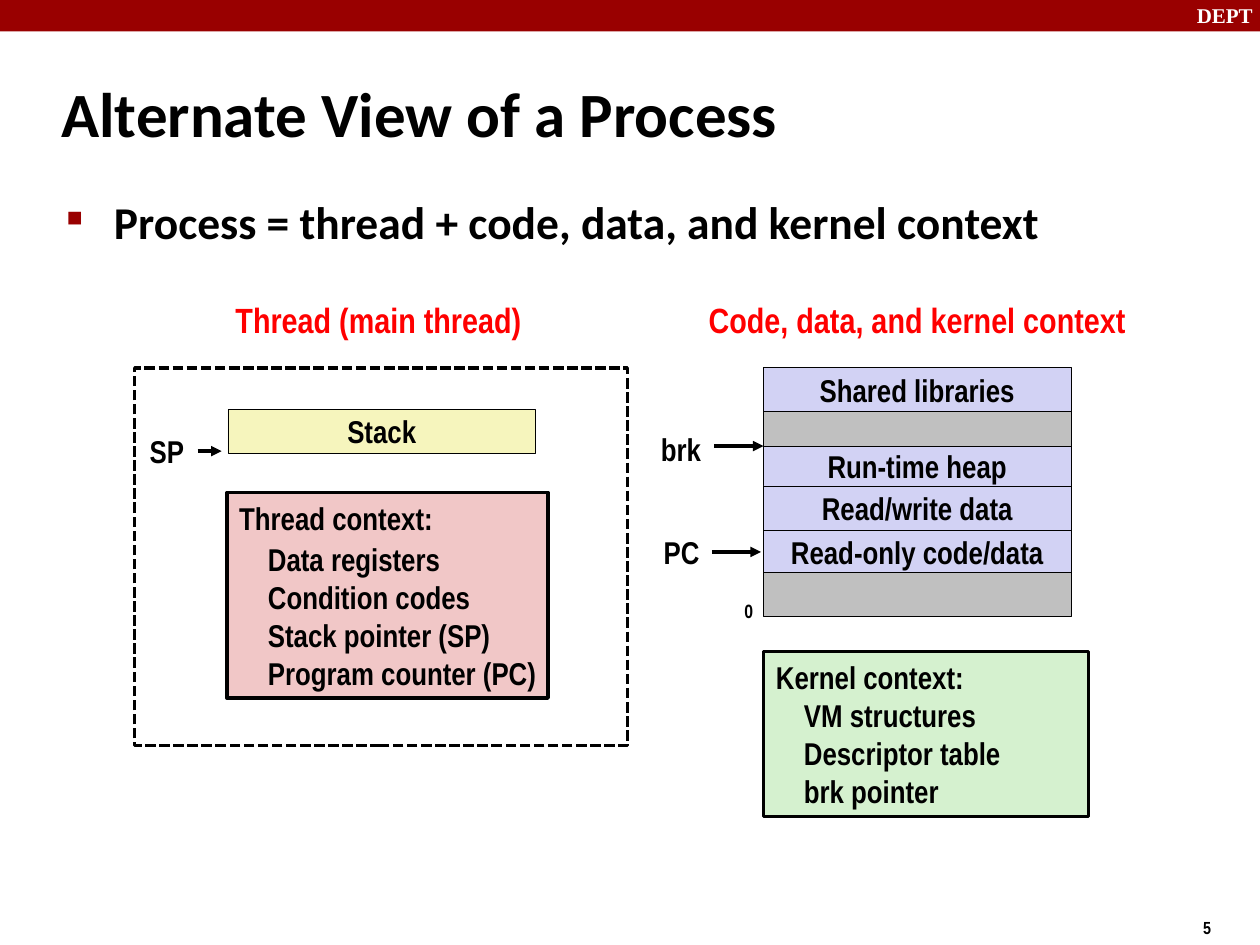
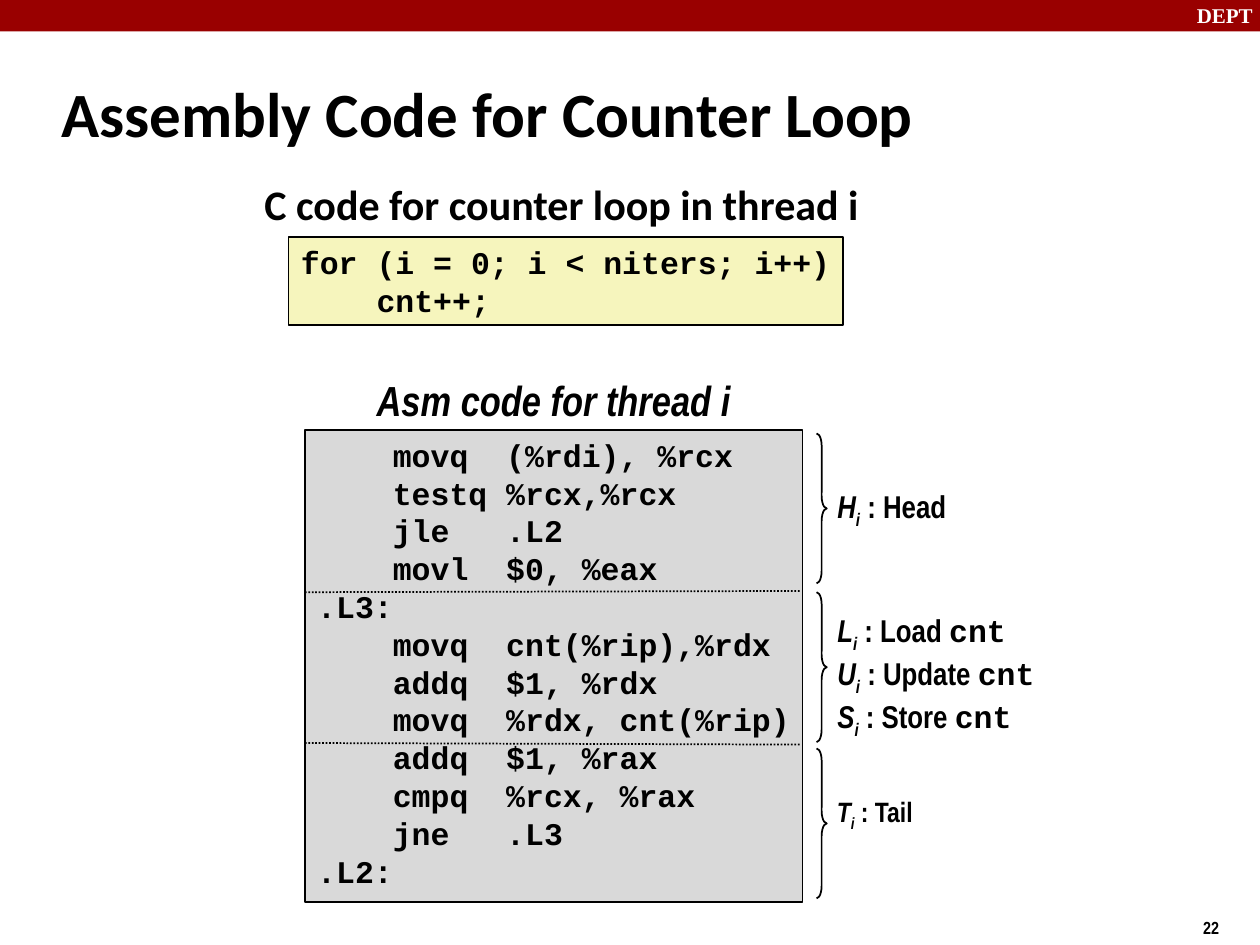
from lxml import etree
from pptx import Presentation
from pptx.dml.color import RGBColor
from pptx.enum.dml import MSO_LINE
from pptx.enum.shapes import MSO_CONNECTOR, MSO_SHAPE
from pptx.enum.text import MSO_ANCHOR, PP_ALIGN
from pptx.oxml.ns import qn
from pptx.util import Pt

RECT, BRACE = MSO_SHAPE.RECTANGLE, MSO_SHAPE.RIGHT_BRACE
STRAIGHT = MSO_CONNECTOR.STRAIGHT
DASH, DOT = MSO_LINE.SQUARE_DOT, MSO_LINE.ROUND_DOT
TOP, MIDDLE = MSO_ANCHOR.TOP, MSO_ANCHOR.MIDDLE
LEFT, CENTER = PP_ALIGN.LEFT, PP_ALIGN.CENTER

BLACK, WHITE, BRAND, RED = "000000", "FFFFFF", "990000", "FF0000"
LILAC, GRAY, PALE_GRAY = "D2D2F4", "C0C0C0", "D9D9D9"
YELLOW, PINK, GREEN = "F6F5BD", "F1C7C7", "D5F1CF"
NARROW, SANS, MONO, SERIF = "Arial Narrow", "Calibri", "Courier New", "Times New Roman"
CODE_TABS = (43.2, 108)


def color(hex_code):
    return RGBColor.from_string(hex_code)


def add_run(p, text, size=18, font=NARROW, fill=BLACK, italic=False, baseline=0):
    r = p.add_run()
    r.text = text
    r.font.size, r.font.name = Pt(size), font
    r.font.bold, r.font.italic = True, italic
    r.font.color.rgb = color(fill)
    if baseline:
        r._r.get_or_add_rPr().set("baseline", str(baseline * 1000))


def set_frame(sp, anchor=MIDDLE, wrap=False):
    tf = sp.text_frame
    tf.word_wrap, tf.vertical_anchor = wrap, anchor
    tf.margin_left = tf.margin_right = Pt(7.2)
    tf.margin_top = tf.margin_bottom = Pt(3.6)
    return tf


def next_paragraph(tf, index, align=LEFT):
    p = tf.add_paragraph() if index else tf.paragraphs[0]
    p.alignment = align
    return p


def add_text(s, box, text, anchor=MIDDLE, align=LEFT, wrap=False, **fmt):
    sp = s.shapes.add_textbox(*map(Pt, box))
    p = next_paragraph(set_frame(sp, anchor, wrap), 0, align)
    add_run(p, text, **fmt)
    return p


def add_box(s, box, fill=None, line=BLACK, width=0.25, shape=RECT, dash=None):
    sp = s.shapes.add_shape(shape, *map(Pt, box))
    sp.shadow.inherit = False
    if fill:
        sp.fill.solid()
        sp.fill.fore_color.rgb = color(fill)
    else:
        sp.fill.background()
    if line:
        sp.line.color.rgb = color(line)
        sp.line.width = Pt(width)
        if dash:
            sp.line.dash_style = dash
    else:
        sp.line.fill.background()
    return sp


def add_labelled_box(s, box, text, fill):
    sp = add_box(s, box, fill)
    if text:
        add_run(next_paragraph(set_frame(sp), 0, CENTER), text)


def add_context(s, box, heading, items, fill, indent, gap=0):
    tf = set_frame(add_box(s, box, fill, width=2))
    for i, text in enumerate([heading, *items]):
        p = next_paragraph(tf, i)
        if i:
            p._p.get_or_add_pPr().set("marL", str(Pt(indent)))
        if i == 1:
            p.space_before = Pt(gap)
        add_run(p, text)


def add_code(s, box, lines, fill, anchor=TOP):
    tf = set_frame(add_box(s, box, fill, width=1), anchor, wrap=True)
    tf.margin_right = 0
    for i, text in enumerate(lines):
        p = next_paragraph(tf, i)
        tabs = etree.SubElement(p._p.get_or_add_pPr(), qn("a:tabLst"))
        for stop in CODE_TABS:
            etree.SubElement(tabs, qn("a:tab"), pos=str(Pt(stop)), algn="l")
        add_run(p, text, font=MONO)


def add_line(s, x1, y1, x2, y2, width, dash=None, arrow=False):
    cx = s.shapes.add_connector(STRAIGHT, Pt(x1), Pt(y1), Pt(x2), Pt(y2))
    cx.line.color.rgb = color(BLACK)
    cx.line.width = Pt(width)
    if dash:
        cx.line.dash_style = dash
    if arrow:
        etree.SubElement(cx.line._get_or_add_ln(), qn("a:tailEnd"), type="triangle")
    etree.SubElement(cx._element.spPr, qn("a:effectLst"))


def add_pointer(s, label_box, text, x1, x2, y):
    add_text(s, label_box, text, align=CENTER)
    add_line(s, x1, y, x2, y, 2, arrow=True)


def add_bullet(s, box, text):
    p = add_text(s, box, text, anchor=TOP, wrap=True, size=26, font=SANS)
    p.space_before = Pt(5.2)
    pPr = p._p.get_or_add_pPr()
    pPr.set("marL", str(Pt(27)))
    pPr.set("indent", str(Pt(-27)))
    bullet_color = etree.SubElement(pPr, qn("a:buClr"))
    etree.SubElement(bullet_color, qn("a:srgbClr"), val=BRAND)
    etree.SubElement(pPr, qn("a:buSzPct"), val="48000")
    etree.SubElement(pPr, qn("a:buChar"), char="■")


def add_steps(s, box, steps, size=18):
    tf = set_frame(s.shapes.add_textbox(*map(Pt, box)))
    for i, (letter, action, variable) in enumerate(steps):
        p = next_paragraph(tf, i)
        add_run(p, letter, size, italic=True)
        add_run(p, "i", size, italic=True, baseline=-25)
        add_run(p, f" : {action}", size)
        if variable:
            add_run(p, variable, size, font=MONO)


def add_slide(prs, title, number):
    s = prs.slides.add_slide(prs.slide_layouts[6])
    add_box(s, (0, 0, 720, 18), BRAND, line=None)
    add_text(s, (676.8, -2.2, 48.2, 21.6), "DEPT", anchor=TOP,
             size=12, font=SERIF, fill=WHITE)
    add_text(s, (680.4, 520.6, 54, 20.9), str(number), anchor=TOP, size=10)
    add_text(s, (28, 34.2, 598, 60), title, wrap=True, size=36, font=SANS)
    return s


def build_process_view(prs):
    s = add_slide(prs, "Alternate View of a Process", 5)
    add_bullet(s, (31, 107.3, 621, 391.7),
               "Process = thread + code, data, and kernel context")

    for box, heading in (((117.4, 167, 197.8, 31), "Thread (main thread)"),
                         ((386, 167, 276.3, 31), "Code, data, and kernel context")):
        add_text(s, box, heading, align=CENTER, size=20, fill=RED)

    add_box(s, (77, 210.2, 281.5, 216), width=2, dash=DASH)
    add_labelled_box(s, (130.3, 233.8, 175.7, 25.2), "Stack", YELLOW)
    add_context(s, (129.6, 281.5, 183.6, 117.4), "Thread context:",
                ("Data registers", "Condition codes", "Stack pointer (SP)",
                 "Program counter (PC)"), PINK, 16.4, gap=2)

    memory = ((210, 25.2, "Shared libraries", LILAC),
              (235.2, 19.8, "", GRAY),
              (255, 22.7, "Run-time heap", LILAC),
              (277.7, 25.2, "Read/write data", LILAC),
              (303, 25.2, "Read-only code/data", LILAC),
              (327, 25.2, "", GRAY))
    for top, height, text, fill in memory:
        add_labelled_box(s, (436.3, top, 175.7, height), text, fill)
    add_text(s, (418.3, 339.1, 24, 20.2), "0", anchor=TOP, size=11)
    add_context(s, (436.3, 372.2, 185.8, 94.3), "Kernel context:",
                ("VM structures", "Descriptor table", "brk pointer"), GREEN, 16)

    add_pointer(s, (65.4, 243.4, 60, 28.8), "SP", 113, 126.7, 257.8)
    add_pointer(s, (359.1, 241.9, 60, 28.8), "brk", 408.2, 436.3, 254.9)
    add_pointer(s, (359.5, 301, 60, 28.8), "PC", 406.8, 434.9, 315.4)


def build_counter_loop(prs):
    s = add_slide(prs, "Assembly Code for Counter Loop", 22)
    add_text(s, (144, 98.6, 382.3, 36), "C code for counter loop in thread i",
             wrap=True, size=24, font=SANS)
    add_code(s, (164.9, 135.4, 316.8, 50.4),
             ("for (i = 0; i < niters; i++)", "\tcnt++;"), YELLOW, MIDDLE)

    add_text(s, (208.1, 210.2, 240, 36), "Asm code for thread i", size=24, italic=True)
    add_code(s, (174.2, 245.5, 284.4, 270), (
        "\tmovq\t(%rdi), %rcx",
        "\ttestq\t%rcx,%rcx",
        "\tjle\t.L2",
        "\tmovl\t$0, %eax",
        ".L3:",
        "\tmovq\tcnt(%rip),%rdx",
        "\taddq\t$1, %rdx",
        "\tmovq\t%rdx, cnt(%rip)",
        "\taddq\t$1, %rax",
        "\tcmpq\t%rcx, %rax",
        "\tjne\t.L3",
        ".L2:"), PALE_GRAY)
    for left_y, right_y in ((338.4, 337.7), (424.6, 425.5)):
        add_line(s, 174.2, left_y, 457.9, right_y, 1, dash=DOT)

    for top in (247.7, 338.4, 427.7):
        brace = add_box(s, (466.6, top, 5.8, 85.7), width=1, shape=BRACE)
        brace.adjustments[0] = 1.23
    add_steps(s, (471.4, 275, 100, 31.7), [("H", "Head", "")])
    add_steps(s, (471.4, 345.6, 150, 80.6),
              [("L", "Load ", "cnt"), ("U", "Update ", "cnt"), ("S", "Store ", "cnt")])
    add_steps(s, (471.2, 450.7, 80, 28.8), [("T", "Tail", "")], size=16)


def main():
    prs = Presentation()
    prs.slide_width, prs.slide_height = Pt(720), Pt(540)
    build_process_view(prs)
    build_counter_loop(prs)
    prs.save("out.pptx")


if __name__ == "__main__":
    main()
